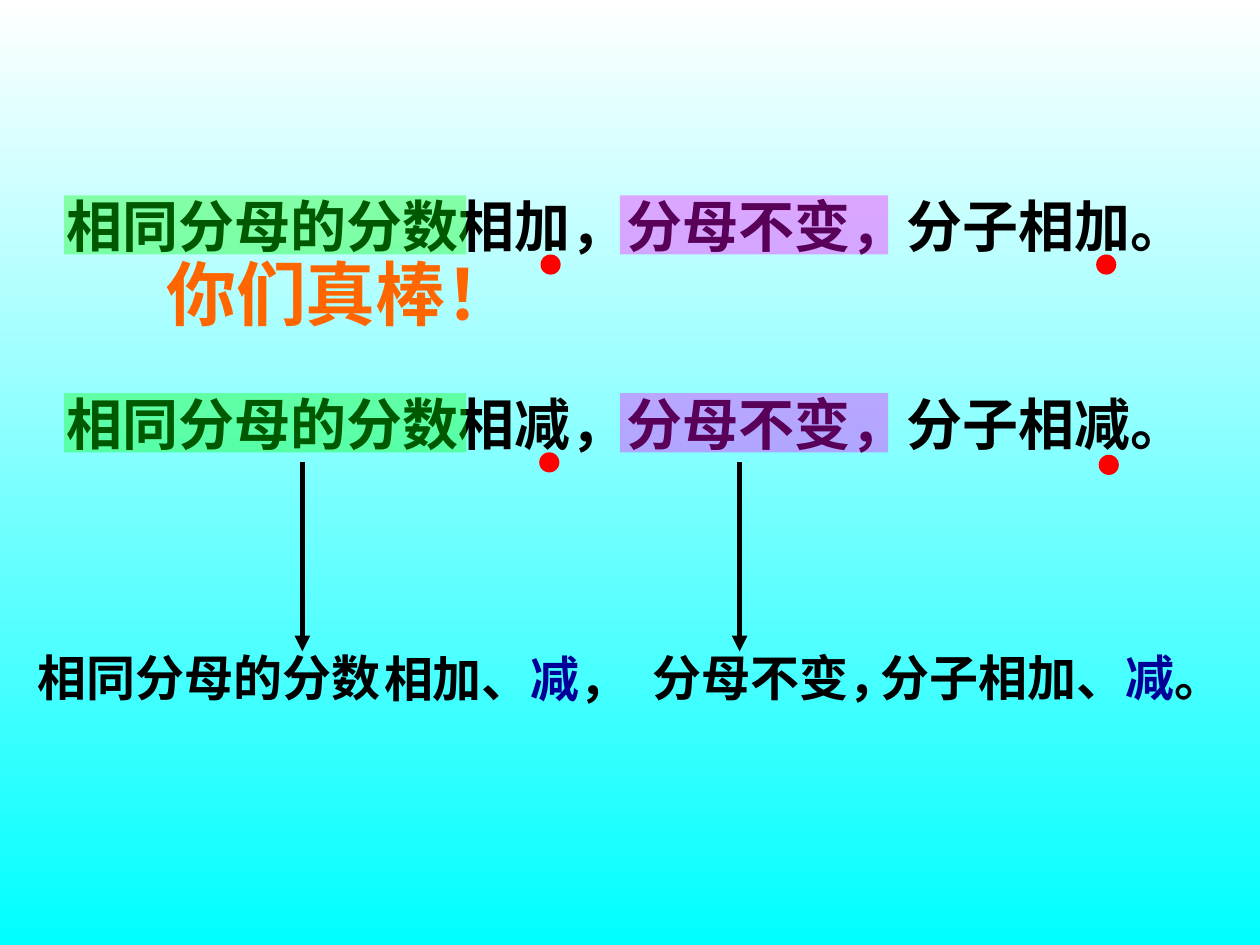
"""Build a slide with the rule for adding and subtracting fractions that share a denominator."""
from dataclasses import dataclass

from lxml.etree import SubElement
from pptx import Presentation
from pptx.dml.color import RGBColor
from pptx.enum.shapes import MSO_CONNECTOR, MSO_SHAPE
from pptx.enum.text import MSO_AUTO_SIZE
from pptx.oxml.ns import qn
from pptx.util import Inches, Pt


@dataclass(frozen=True)
class Theme:
    latin: str = "Arial"
    chinese: str = "Noto Sans CJK SC"
    ink: str = "000000"
    accent: str = "000099"
    praise: str = "FF6600"
    dot: str = "FF0000"
    sky_top: str = "FFFFFF"
    sky_bottom: str = "00FFFF"
    rule_size: int = 32
    summary_size: int = 28
    praise_size: int = 40
    arrow_width: int = 3
    highlight_alpha: int = 35


THEME = Theme()

RULES = [
    {"top": 1.47, "text": "相同分母的分数相加，分母不变，分子相加。",
     "dots": [(4.29, 2.02), (8.7, 2.02)]},
    {"top": 3.04, "text": "相同分母的分数相减，分母不变，分子相减。",
     "dots": [(4.28, 3.59), (8.72, 3.61)]},
]
HIGHLIGHTS = [(0.51, 3.19, "00FF00"), (4.92, 2.13, "FF00FF")]
SUMMARY = [
    (0.2, 5.09, 3.54, [("相同分母的分数", THEME.ink)]),
    (2.95, 5.1, 2.36, [("相加、", THEME.ink), ("减", THEME.accent), ("，", THEME.ink)]),
    (5.08, 5.09, 3.54, [("分母不变，", THEME.ink)]),
    (6.89, 5.09, 3.54, [("分子相加、", THEME.ink), ("减", THEME.accent), ("。", THEME.ink)]),
]
PRAISE = "你们真棒！"
ARROW_COLUMNS = [2.4, 5.87]
ARROW_TOP, ARROW_BOTTOM = 3.67, 5.17
HIGHLIGHT_DROP, HIGHLIGHT_HEIGHT, DOT_SIZE = 0.08, 0.47, 0.16


def paint_background(slide):
    sky = slide.background.fill
    sky.gradient()
    sky.gradient_angle = 270
    for stop, position, color in zip(sky.gradient_stops, (0, 1), (THEME.sky_top, THEME.sky_bottom)):
        stop.position = position
        stop.color.rgb = RGBColor.from_string(color)


def add_text(slide, place, pieces, size, latin=THEME.latin, wrap=True):
    frame = slide.shapes.add_textbox(*map(Inches, place)).text_frame
    frame.word_wrap = wrap
    frame.auto_size = MSO_AUTO_SIZE.SHAPE_TO_FIT_TEXT if wrap else MSO_AUTO_SIZE.NONE
    for text, color in pieces:
        run = frame.paragraphs[0].add_run()
        run.text = text
        font = run.font
        font.name, font.size, font.bold = latin, Pt(size), True
        font.color.rgb = RGBColor.from_string(color)
        SubElement(run._r.get_or_add_rPr(), qn("a:ea"), typeface=THEME.chinese)


def add_mark(slide, preset, place, color, alpha=None):
    mark = slide.shapes.add_shape(preset, *map(Inches, place))
    mark.shadow.inherit = False
    mark.line.fill.background()
    mark.fill.solid()
    mark.fill.fore_color.rgb = RGBColor.from_string(color)
    if alpha is not None:
        tint = mark._element.spPr.find(qn("a:solidFill")).find(qn("a:srgbClr"))
        SubElement(tint, qn("a:alpha"), val=str(alpha * 1000))


def add_arrow(slide, x):
    arrow = slide.shapes.add_connector(
        MSO_CONNECTOR.STRAIGHT, *map(Inches, (x, ARROW_TOP, x, ARROW_BOTTOM)))
    arrow.line.width = Pt(THEME.arrow_width)
    arrow.line.color.rgb = RGBColor.from_string(THEME.ink)
    SubElement(arrow.line._get_or_add_ln(), qn("a:tailEnd"), type="triangle")
    SubElement(arrow._element.spPr, qn("a:effectLst"))


def main():
    deck = Presentation()
    deck.slide_width, deck.slide_height = Inches(10), Inches(7.5)
    slide = deck.slides.add_slide(deck.slide_layouts[6])
    paint_background(slide)

    for rule in RULES:
        add_text(slide, (0.43, rule["top"], 9.37, 0.64),
                 [(rule["text"], THEME.ink)], THEME.rule_size)
        for left, width, color in HIGHLIGHTS:
            add_mark(slide, MSO_SHAPE.RECTANGLE,
                     (left, rule["top"] + HIGHLIGHT_DROP, width, HIGHLIGHT_HEIGHT),
                     color, THEME.highlight_alpha)
        for left, top in rule["dots"]:
            add_mark(slide, MSO_SHAPE.OVAL, (left, top, DOT_SIZE, DOT_SIZE), THEME.dot)

    for left, top, width, pieces in SUMMARY:
        add_text(slide, (left, top, width, 0.57), pieces, THEME.summary_size)
    add_text(slide, (1.22, 1.94, 7, 2.29), [(PRAISE, THEME.praise)],
             THEME.praise_size, THEME.chinese, wrap=False)
    for x in ARROW_COLUMNS:
        add_arrow(slide, x)

    deck.save("out.pptx")


if __name__ == "__main__":
    main()
